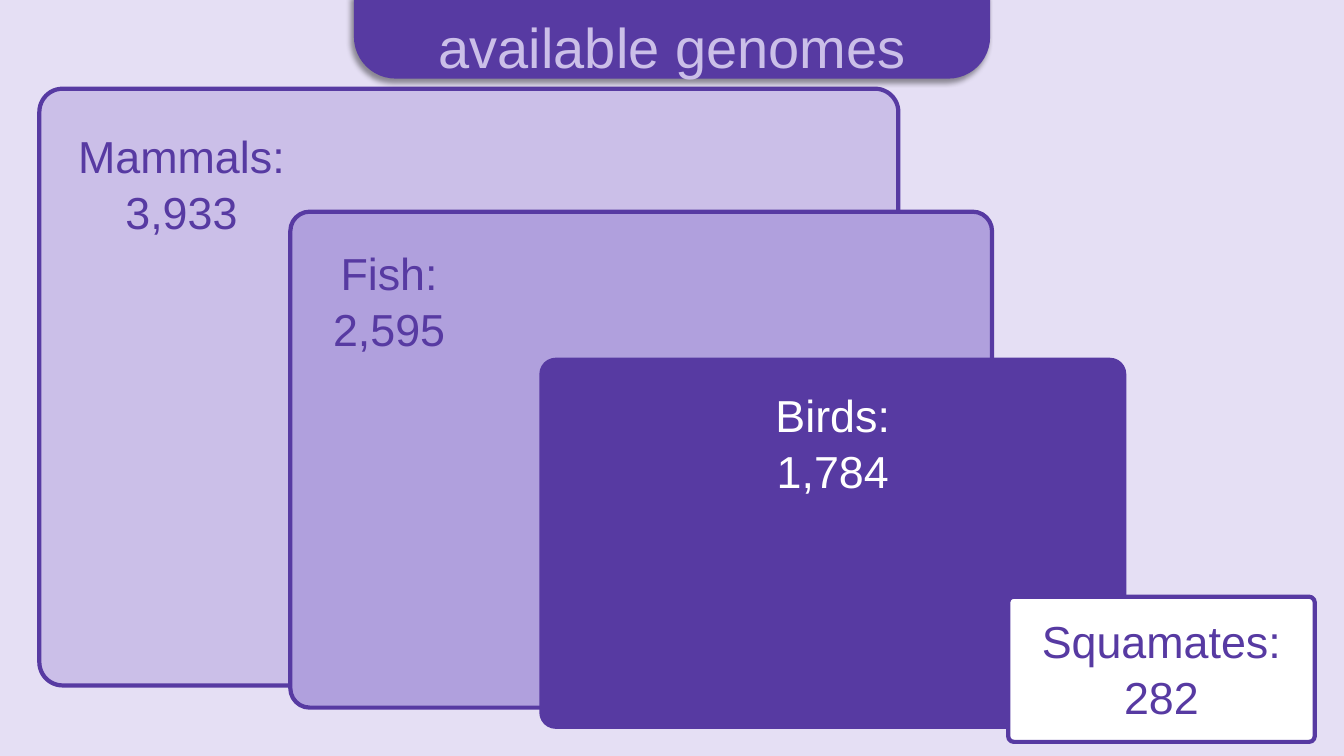
import pptx
import pptx.dml.color
import pptx.enum.shapes
import pptx.enum.text
import pptx.oxml
import pptx.oxml.ns
import pptx.util
from dataclasses import dataclass

Inches = pptx.util.Inches
Pt = pptx.util.Pt
SHAPE = pptx.enum.shapes.MSO_SHAPE


@dataclass(frozen=True)
class Theme:
    font: str = "Arial"
    title_size: int = 40
    label_size: int = 32
    outline: int = 3
    line_spacing: float = 1.05
    corner: float = 0.039
    background: str = "E5DFF4"
    purple: str = "573AA2"
    lilac: str = "CBBFE8"
    lavender: str = "B0A0DD"
    white: str = "FFFFFF"


THEME = Theme()

# Group, count, card box, label box, card fill, label colour
MAMMALS = ("Mammals", 3933, (0.39, 0.88, 8.52, 5.92), (0.39, 1.18, 2.82, 1.7),
           THEME.lilac, THEME.purple)
SMALLER_GROUPS = [
    ("Fish", 2595, (2.88, 2.1, 6.96, 4.92), (2.88, 2.34, 1.96, 4.35),
     THEME.lavender, THEME.purple),
    ("Birds", 1784, (5.37, 3.57, 5.78, 3.64), (5.37, 3.75, 5.78, 3.22),
     THEME.purple, THEME.white),
    ("Squamates", 282, (10, 5.92, 3.04, 1.44), (10, 5.99, 3.04, 1.27),
     THEME.white, THEME.purple),
]


def rgb(value):
    return pptx.dml.color.RGBColor.from_string(value)


def inches(box):
    return [Inches(length) for length in box]


def set_text(holder, text, size, color):
    frame = holder.text_frame
    frame.text = text
    frame.word_wrap = True
    frame.auto_size = pptx.enum.text.MSO_AUTO_SIZE.NONE
    frame.vertical_anchor = pptx.enum.text.MSO_ANCHOR.TOP
    frame.margin_top = Inches(0.07)
    for paragraph in frame.paragraphs:
        paragraph.alignment = pptx.enum.text.PP_ALIGN.CENTER
        paragraph.line_spacing = THEME.line_spacing
        paragraph.space_before = Pt(0)
        for run in paragraph.runs:
            run.font.name = THEME.font
            run.font.size = Pt(size)
            run.font.color.rgb = rgb(color)


def add_card(slide, name, count, card_box, label_box, fill, label_color):
    group = slide.shapes.add_group_shape()
    card = group.shapes.add_shape(SHAPE.ROUNDED_RECTANGLE, *inches(card_box))
    card.adjustments[0] = THEME.corner
    card.shadow.inherit = False
    card.fill.solid()
    card.fill.fore_color.rgb = rgb(fill)
    card.line.color.rgb = rgb(THEME.purple)
    card.line.width = Pt(THEME.outline)
    label = group.shapes.add_textbox(*inches(label_box))
    set_text(label, f"{name}:\n{count:,}", THEME.label_size, label_color)


def add_shadow(shape):
    shape.shadow.inherit = False
    effects = shape.element.spPr.find(pptx.oxml.ns.qn("a:effectLst"))
    effects.append(pptx.oxml.parse_xml(
        f'<a:outerShdw {pptx.oxml.ns.nsdecls("a")} blurRad="{Pt(4)}" '
        f'dist="{Pt(3)}" dir="{135 * 60000}" algn="tr" rotWithShape="0">'
        '<a:srgbClr val="000000"><a:alpha val="40000"/></a:srgbClr>'
        '</a:outerShdw>'))


def add_title(slide):
    # Tab hanging from the top edge
    tab = slide.shapes.add_shape(SHAPE.ROUND_2_SAME_RECTANGLE,
                                 *inches((3.51, -0.05, 6.31, 0.83)))
    tab.rotation = 180
    tab.adjustments[0] = 0.5
    tab.adjustments[1] = 0
    tab.fill.solid()
    tab.fill.fore_color.rgb = rgb(THEME.purple)
    tab.line.fill.background()
    add_shadow(tab)

    # Title in front of its tab
    title = slide.shapes.title
    title.left, title.top, title.width, title.height = inches(
        (3.51, 0.02, 6.31, 0.71))
    set_text(title, "available genomes", THEME.title_size, THEME.lilac)
    tab.element.addnext(title.element)


def main():
    deck = pptx.Presentation()
    deck.slide_width = Inches(13.33)
    deck.slide_height = Inches(7.5)
    slide = deck.slides.add_slide(deck.slide_layouts.get_by_name("Title Only"))
    slide.background.fill.solid()
    slide.background.fill.fore_color.rgb = rgb(THEME.background)

    # The largest card lies behind the title, the others in front
    add_card(slide, *MAMMALS)
    add_title(slide)
    for animals in SMALLER_GROUPS:
        add_card(slide, *animals)

    deck.save("out.pptx")


if __name__ == "__main__":
    main()
